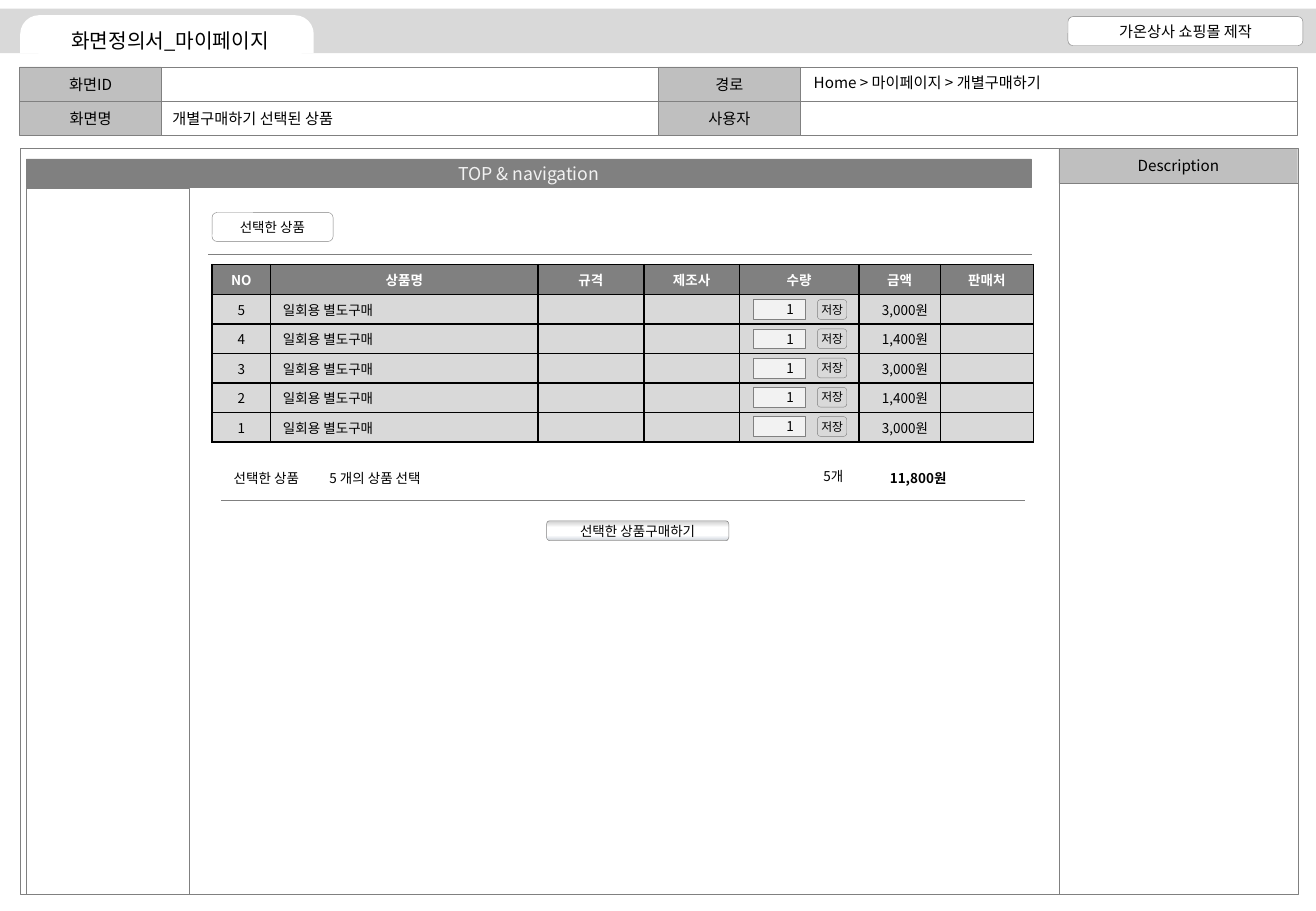
from dataclasses import dataclass

from lxml.etree import SubElement
from pptx import Presentation
from pptx.dml.color import RGBColor
from pptx.enum.shapes import MSO_CONNECTOR, MSO_SHAPE
from pptx.enum.text import MSO_ANCHOR, PP_ALIGN
from pptx.oxml.ns import qn
from pptx.util import Inches, Pt

LEFT, CENTER, RIGHT = PP_ALIGN.LEFT, PP_ALIGN.CENTER, PP_ALIGN.RIGHT
RECTANGLE, ROUNDED = MSO_SHAPE.RECTANGLE, MSO_SHAPE.ROUNDED_RECTANGLE
COLUMNS, ROWS = 130, 90  # the slide grid


@dataclass(frozen=True)
class Theme:
    font: str = "Noto Sans CJK KR"
    black: str = "000000"
    white: str = "FFFFFF"
    dark: str = "808080"
    label: str = "BFBFBF"
    light: str = "D9D9D9"
    field: str = "F2F2F2"
    button: tuple = ((0, "BFBFBF"), (8, "D9D9D9"), (34, "FFFFFF"),
                     (74, "FFFFFF"), (93, "DDE1E7"), (100, "CCCCCC"))
    title: float = 12
    bar: float = 10.5
    body: float = 9
    small: float = 8
    tiny: float = 7
    outline: float = 0.25
    rule: float = 0.75
    border: float = 1


class Wireframe:
    def __init__(self, presentation, theme):
        self.theme = theme
        self.column = presentation.slide_width / COLUMNS
        self.row = presentation.slide_height / ROWS
        self.slide = presentation.slides.add_slide(presentation.slide_layouts[6])

    def place(self, left, top, width, height):
        return (round(left * self.column), round(top * self.row),
                round(width * self.column), round(height * self.row))

    def set_text(self, frame, text, size, align, color=None, bold=False):
        paragraph = frame.paragraphs[0]
        paragraph.text = text
        paragraph.alignment = align
        font = paragraph.font
        font.name, font.size, font.bold = self.theme.font, Pt(size), bold
        font.color.rgb = RGBColor.from_string(color or self.theme.black)
        SubElement(font._rPr, qn("a:ea"), typeface=self.theme.font)
        if not text:
            SubElement(paragraph._p, qn("a:endParaRPr"), sz=str(round(size * 100)))

    def box(self, area, text="", size=None, fill=None, kind=RECTANGLE, outlined=True,
            align=CENTER, color=None, inset=None):
        shape = self.slide.shapes.add_shape(kind, *self.place(*area))
        shape.shadow.inherit = False
        if fill:
            shape.fill.solid()
            shape.fill.fore_color.rgb = RGBColor.from_string(fill)
        else:
            shape.fill.background()
        if outlined:
            shape.line.color.rgb = RGBColor.from_string(self.theme.dark)
            shape.line.width = Pt(self.theme.outline)
        else:
            shape.line.fill.background()
        if text:
            frame = shape.text_frame
            frame.word_wrap = True
            frame.vertical_anchor = MSO_ANCHOR.MIDDLE
            if inset is not None:
                frame.margin_left = frame.margin_right = inset
                frame.margin_top = frame.margin_bottom = inset
            self.set_text(frame, text, size or self.theme.body, align, color)
        return shape

    def shade(self, shape, stops):
        shape.fill.gradient()
        shape.fill.gradient_angle = 270
        stop_list = shape._element.spPr.find(qn("a:gradFill")).find(qn("a:gsLst"))
        for stop in list(stop_list):
            stop_list.remove(stop)
        for position, color in stops:
            stop = SubElement(stop_list, qn("a:gs"), pos=str(position * 1000))
            SubElement(stop, qn("a:srgbClr"), val=color)

    def text(self, area, text, size, align=LEFT, bold=False):
        frame = self.slide.shapes.add_textbox(*self.place(*area)).text_frame
        frame.word_wrap = True
        self.set_text(frame, text, size, align, bold=bold)

    def rule(self, left, right, top):
        x, y, width, _ = self.place(left, top, right - left, 0)
        line = self.slide.shapes.add_connector(MSO_CONNECTOR.STRAIGHT, x, y, x + width, y)
        line.line.color.rgb = RGBColor.from_string(self.theme.dark)
        line.line.width = Pt(self.theme.rule)
        SubElement(line._element.spPr, qn("a:effectLst"))

    def border(self, cell):
        properties = cell._tc.get_or_add_tcPr()
        for index, side in enumerate(("a:lnL", "a:lnR", "a:lnT", "a:lnB")):
            line = properties.makeelement(qn(side), {"w": str(Pt(self.theme.border))})
            fill = SubElement(line, qn("a:solidFill"))
            SubElement(fill, qn("a:srgbClr"), val=self.theme.black)
            properties.insert(index, line)

    def table(self, left, top, widths, row_height, rows, aligns):
        theme = self.theme
        area = self.place(left, top, sum(widths), row_height * len(rows))
        table = self.slide.shapes.add_table(len(rows), len(widths), *area).table
        table.horz_banding = False
        for column, width in zip(table.columns, widths):
            column.width = round(width * self.column)
        for r, row in enumerate(rows):
            table.rows[r].height = round(row_height * self.row)
            header = r == 0
            for c, value in enumerate(row):
                cell = table.cell(r, c)
                cell.margin_top = cell.margin_bottom = Inches(0.03)
                cell.vertical_anchor = MSO_ANCHOR.MIDDLE
                cell.fill.solid()
                cell.fill.fore_color.rgb = RGBColor.from_string(theme.dark if header else theme.light)
                self.border(cell)
                self.set_text(cell.text_frame, value, theme.small, CENTER if header else aligns[c],
                              theme.white if header else theme.black, header)


def main():
    presentation = Presentation()
    presentation.slide_width, presentation.slide_height = Inches(10.83), Inches(7.5)
    theme = Theme()
    page = Wireframe(presentation, theme)

    # Screen facts: two label and value pairs on each of two rows
    label_width, value_width, fact_height = 14, 49.1, 3.4
    for row, labels in enumerate((("화면ID", "경로"), ("화면명", "사용자"))):
        for pair, label in enumerate(labels):
            left = 1.95 + pair * (label_width + value_width)
            top = 6.6 + row * fact_height
            page.box((left, top, label_width, fact_height), label, fill=theme.label)
            page.box((left + label_width, top, value_width, fact_height))

    # Main panel and description panel
    page.box((2, 14.65, 102.6, 73.7))
    page.box((104.6, 14.65, 23.6, 3.45), "Description", fill=theme.label)
    page.box((104.6, 18.1, 23.6, 70.25))

    # Title strip with tab
    page.box((0, 0.85, COLUMNS, 4.4), fill=theme.light, outlined=False)
    tab = page.box((2, 1.5, 29, 3.75), fill=theme.white, outlined=False,
                   kind=MSO_SHAPE.ROUND_2_SAME_RECTANGLE)
    tab.adjustments[0] = 0.5
    page.box((3.6, 2.5, 26.4, 2.9), "화면정의서_마이페이지", theme.title, theme.white, ROUNDED, False)
    page.box((105.5, 1.65, 23.2, 2.85), "가온상사 쇼핑몰 제작", fill=theme.white, kind=ROUNDED)

    # Side menu and navigation bar
    page.box((2.6, 18.6, 16.1, 69.75))
    page.box((2.6, 15.7, 99.3, 2.85), "TOP & navigation", theme.bar, theme.dark, color=theme.field)

    # Section heading
    page.box((20.95, 21, 11.95, 2.85), "선택한 상품", theme.small, theme.white, ROUNDED, inset=0)
    page.rule(20.6, 101.9, 25.15)

    # Product table
    prices = ("3,000원", "1,400원", "3,000원", "1,400원", "3,000원")
    rows = [("NO", "상품명", "규격", "제조사", "수량", "금액", "판매처")]
    for index, price in enumerate(prices):
        rows.append((str(len(prices) - index), "일회용 별도구매", "", "", "", price, ""))
    page.table(20.95, 26.15, (5.8, 26.4, 10.45, 9.45, 11.8, 8.05, 9.2), 2.92, rows,
               (CENTER, LEFT, LEFT, LEFT, LEFT, RIGHT, LEFT))

    # Quantity fields and save buttons
    for index in range(len(prices)):
        top = 29.6 + index * 2.89
        page.box((74.4, top, 5.2, 1.95), "1", theme.small, theme.field, align=RIGHT)
        page.box((80.75, top, 2.9, 1.95), "저장", theme.tiny, theme.light, ROUNDED, inset=0)

    # Totals
    page.text((21.9, 45.85, 9.6, 2.85), "선택한 상품", theme.small)
    page.text((31.35, 45.85, 33.1, 2.85), "5 개의 상품 선택", theme.small)
    page.text((74.9, 45.6, 9.6, 2.85), "5개", theme.small, RIGHT)
    page.text((85.1, 45.85, 9.6, 2.85), "11,800원", theme.small, RIGHT, True)
    page.rule(21.85, 101.3, 49.45)

    # Purchase button
    buy = page.box((54, 51.45, 18, 1.95), "선택한 상품구매하기", theme.small, theme.white, ROUNDED, inset=0)
    page.shade(buy, theme.button)

    # Screen fact values
    page.text((79.2, 6.7, 27.5, 3), "Home > 마이페이지 > 개별구매하기", theme.body)
    page.text((15.85, 10.2, 20.2, 3), "개별구매하기 선택된 상품", theme.body)

    presentation.save("out.pptx")


if __name__ == "__main__":
    main()
